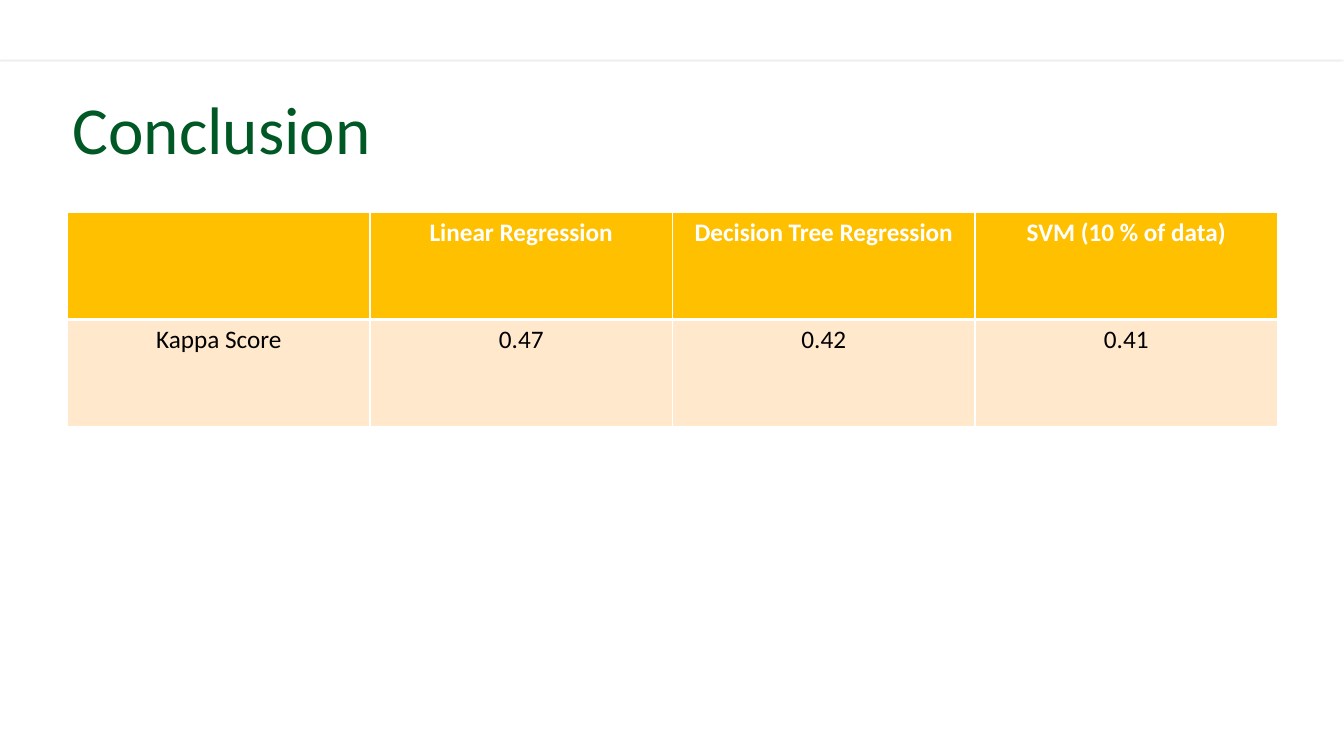
from lxml import etree
from pptx import Presentation
from pptx.dml.color import RGBColor
from pptx.enum.shapes import MSO_SHAPE
from pptx.enum.text import MSO_ANCHOR, MSO_AUTO_SIZE, PP_ALIGN
from pptx.oxml.ns import qn
from pptx.util import Inches, Pt

RECTANGLE = MSO_SHAPE.RECTANGLE
MIDDLE = MSO_ANCHOR.MIDDLE
NO_AUTOFIT = MSO_AUTO_SIZE.NONE
LEFT, CENTER = PP_ALIGN.LEFT, PP_ALIGN.CENTER

TITLE_ONLY = 5
FONT = "Calibri"
COLORS = {
    "white": "FFFFFF",
    "black": "000000",
    "title": "005825",
    "header": "FFC000",
    "body": "FFE8CC",
}
SCORES = [
    ["", "Linear Regression", "Decision Tree Regression", "SVM (10 % of data)"],
    ["Kappa Score", "0.47", "0.42", "0.41"],
]
MARGIN, CONTENT_WIDTH = Inches(0.67), Inches(12)
ROW_HEIGHT = Inches(1.06)


def rgb(name):
    return RGBColor.from_string(COLORS[name])


def set_font(paragraph, size, color, bold=False):
    font = paragraph.font
    font.name, font.size, font.bold = FONT, Pt(size), bold
    font.color.rgb = rgb(color)


def add_color(parent, name):
    return etree.SubElement(parent, qn("a:srgbClr"), val=COLORS[name])


def add_shadow(shape):
    """Give the shape a soft shadow that falls straight down."""
    effects = etree.SubElement(shape.element.spPr, qn("a:effectLst"))
    shadow = etree.SubElement(
        effects, qn("a:outerShdw"),
        blurRad=str(Pt(3)), dist=str(Pt(1.8)), dir="5400000", rotWithShape="0",
    )
    etree.SubElement(add_color(shadow, "black"), qn("a:alpha"), val="35000")


def add_panel(slide):
    panel = slide.shapes.add_shape(
        RECTANGLE, Inches(-0.01), Inches(0.61), Inches(13.34), Inches(6.89)
    )
    panel.fill.solid()
    panel.fill.fore_color.rgb = rgb("white")
    panel.line.fill.background()
    add_shadow(panel)
    slide.shapes.element.insert_element_before(panel.element, "p:sp")


def set_title(slide, text):
    title = slide.shapes.title
    title.left, title.top = MARGIN, Inches(0.53)
    title.width, title.height = CONTENT_WIDTH, Inches(1.58)
    frame = title.text_frame
    frame.text = text
    frame.auto_size = NO_AUTOFIT
    frame.vertical_anchor = MIDDLE
    frame.margin_left = frame.margin_right = Inches(0.05)
    frame.margin_top = frame.margin_bottom = Inches(0.05)
    paragraph = frame.paragraphs[0]
    paragraph.alignment, paragraph.line_spacing = LEFT, 0.9
    set_font(paragraph, 48, "title")


def set_borders(cell, widths):
    """Draw white borders, with widths in points by side: L, R, T, B."""
    properties = cell._tc.get_or_add_tcPr()
    for side, width in widths.items():
        line = etree.SubElement(properties, qn(f"a:ln{side}"), w=str(Pt(width)))
        add_color(etree.SubElement(line, qn("a:solidFill")), "white")


def add_score_table(slide, rows):
    frame = slide.shapes.add_table(
        len(rows), len(rows[0]), MARGIN, Inches(2.11),
        CONTENT_WIDTH, ROW_HEIGHT * len(rows),
    )
    for row_index, row in enumerate(rows):
        is_header = row_index == 0
        for column_index, text in enumerate(row):
            cell = frame.table.cell(row_index, column_index)
            set_borders(cell, {
                "L": 1, "R": 1,
                "T": 1 if is_header else 3,
                "B": 3 if is_header else 1,
            })
            cell.fill.solid()
            cell.fill.fore_color.rgb = rgb("header" if is_header else "body")
            cell.text = text
            paragraph = cell.text_frame.paragraphs[0]
            paragraph.alignment = CENTER
            set_font(paragraph, 18, "white" if is_header else "black", is_header)


def main():
    presentation = Presentation()
    presentation.slide_width = Inches(13.33)
    presentation.slide_height = Inches(7.5)
    slide = presentation.slides.add_slide(presentation.slide_layouts[TITLE_ONLY])
    add_panel(slide)
    set_title(slide, "Conclusion")
    add_score_table(slide, SCORES)
    presentation.save("out.pptx")


if __name__ == "__main__":
    main()
